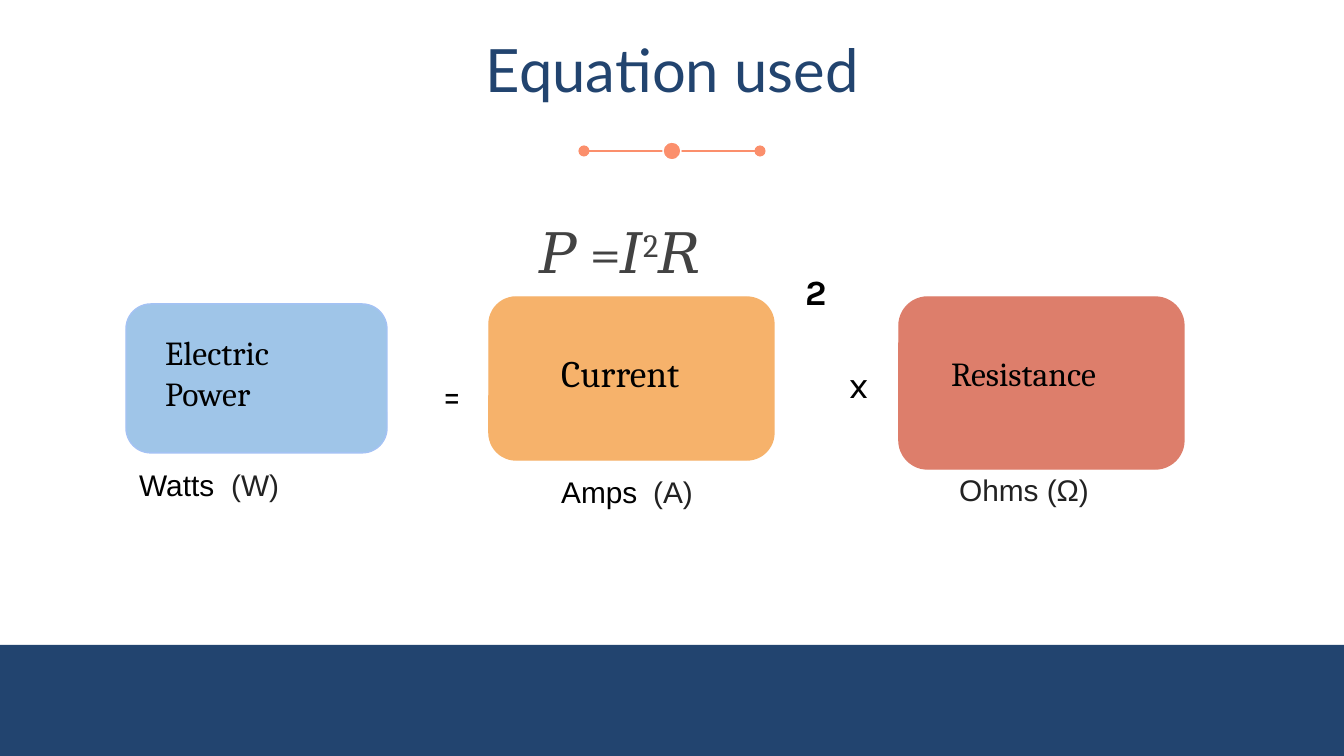
from lxml.etree import SubElement
from pptx import Presentation
from pptx.dml.color import RGBColor
from pptx.enum.shapes import MSO_CONNECTOR, MSO_SHAPE
from pptx.enum.text import MSO_ANCHOR, PP_ALIGN
from pptx.oxml.ns import qn
from pptx.util import Pt

# Content: places are left, top, width, height in px
HUES = {"navy": "22446F", "coral": "FB8F6C", "white": "FFFFFF",
        "black": "000000", "gray": "424242", "dark": "222222",
        "blue": "9FC5E8", "rim": "A4C2F4", "gold": "F6B26B",
        "red": "DD7E6B"}
TITLE = "Equation used"
POWERS = [("𝑃 =𝐼", 0), ("2", 30000), ("𝑅", 0)]
CARDS = [((126, 304, 261, 149), "blue", "rim"),
         ((489, 297, 285, 163), "gold", "gold"),
         ((899, 297, 285, 172), "red", "red")]
# Place, font, size, bold, runs of text and colour
LABELS = [
    ((152, 319, 208, 109), "Cambria", 18, False, [("Electric Power", "black")]),
    ((429, 358, 62, 73), "Karla", 20, False, [("=", "black")]),
    ((548, 337, 191, 73), "Cambria", 20, False, [("Current", "black")]),
    ((836, 348, 86, 73), "Karla", 20, False, [("x", "black")]),
    ((938, 340, 208, 67), "Cambria", 18, False, [("Resistance", "black")]),
    ((792, 257, 75, 70), "Karla", 19, True, [("2", "black")]),
    ((126, 453, 261, 63), "Arial", 16, False,
     [("Watts\t", "black"), ("(W)", "dark")]),
    ((548, 460, 191, 63), "Arial", 16, False,
     [("Amps\t", "black"), ("(A)", "dark")]),
    ((946, 458, 208, 66), "Arial", 16, False, [("Ohms (Ω)", "dark")]),
]
WIDE, HIGH = 1344, 756
INSET, TAB = 13.44, 92
SCALE = 914400 / 134.4


def emu(px):
    return round(px * SCALE)


def hue(name):
    return RGBColor.from_string(HUES[name])


def draw(kind, place, fill, rim=None):
    shape = slide.shapes.add_shape(kind, *map(emu, place))
    shape.shadow.inherit = False
    shape.fill.solid()
    shape.fill.fore_color.rgb = hue(fill)
    if rim:
        shape.line.color.rgb = hue(rim)
        shape.line.width = Pt(0.75)
    else:
        shape.line.fill.background()
    return shape


def frame(box, inset):
    text = box.text_frame
    text.word_wrap = True
    text.vertical_anchor = MSO_ANCHOR.TOP
    text.margin_left = text.margin_right = emu(inset)
    text.margin_top = text.margin_bottom = emu(inset)
    return text.paragraphs[0]


def write(para, text, face, size, tint, bold=False):
    run = para.add_run()
    run.text = text
    run.font.name = face
    run.font.size = Pt(size)
    run.font.bold = bold
    run.font.color.rgb = hue(tint)
    return run


deck = Presentation()
deck.slide_width, deck.slide_height = emu(WIDE), emu(HIGH)
slide = deck.slides.add_slide(deck.slide_layouts[5])

# Title
title = slide.shapes.title
title.left, title.top, title.width, title.height = map(emu, (452, 27, 441, 93))
para = frame(title, INSET)
para.alignment = PP_ALIGN.CENTER
para.line_spacing = 0.9
write(para, TITLE, "Lato", 32, "navy")

# Bottom band
draw(MSO_SHAPE.RECTANGLE, (0, 645, WIDE, HIGH - 645), "navy")

# Divider with a dot at each end and in the middle
mid, row, half, dot = WIDE // 2, 151, 88, 18
rule = slide.shapes.add_connector(
    MSO_CONNECTOR.STRAIGHT, *map(emu, (mid - half, row, mid + half, row)))
rule.line.color.rgb = hue("coral")
rule.line.width = Pt(0.75)
line = rule.line._get_or_add_ln()
for end in ("a:headEnd", "a:tailEnd"):
    SubElement(line, qn(end), type="oval")
SubElement(rule._element.spPr, qn("a:effectLst"))
draw(MSO_SHAPE.OVAL, (mid - dot / 2, row - dot / 2, dot, dot),
     "coral", "white")

# Formula
box = slide.shapes.add_textbox(*map(emu, (540, 208, 252, 113)))
para = frame(box, 0)
para.line_spacing = 1.15
for text, lift in POWERS:
    run = write(para, text, "Cambria", 30, "gray")
    if lift:
        run.font._element.set("baseline", str(lift))

# Cards
for place, fill, rim in CARDS:
    draw(MSO_SHAPE.ROUNDED_RECTANGLE, place, fill, rim)

# Names, signs and units
for place, face, size, bold, runs in LABELS:
    para = frame(slide.shapes.add_textbox(*map(emu, place)), INSET)
    if len(runs) > 1:
        tabs = SubElement(para._p.get_or_add_pPr(), qn("a:tabLst"))
        SubElement(tabs, qn("a:tab"), pos=str(emu(TAB)), algn="l")
    for text, tint in runs:
        write(para, text, face, size, tint, bold)

deck.save("out.pptx")
